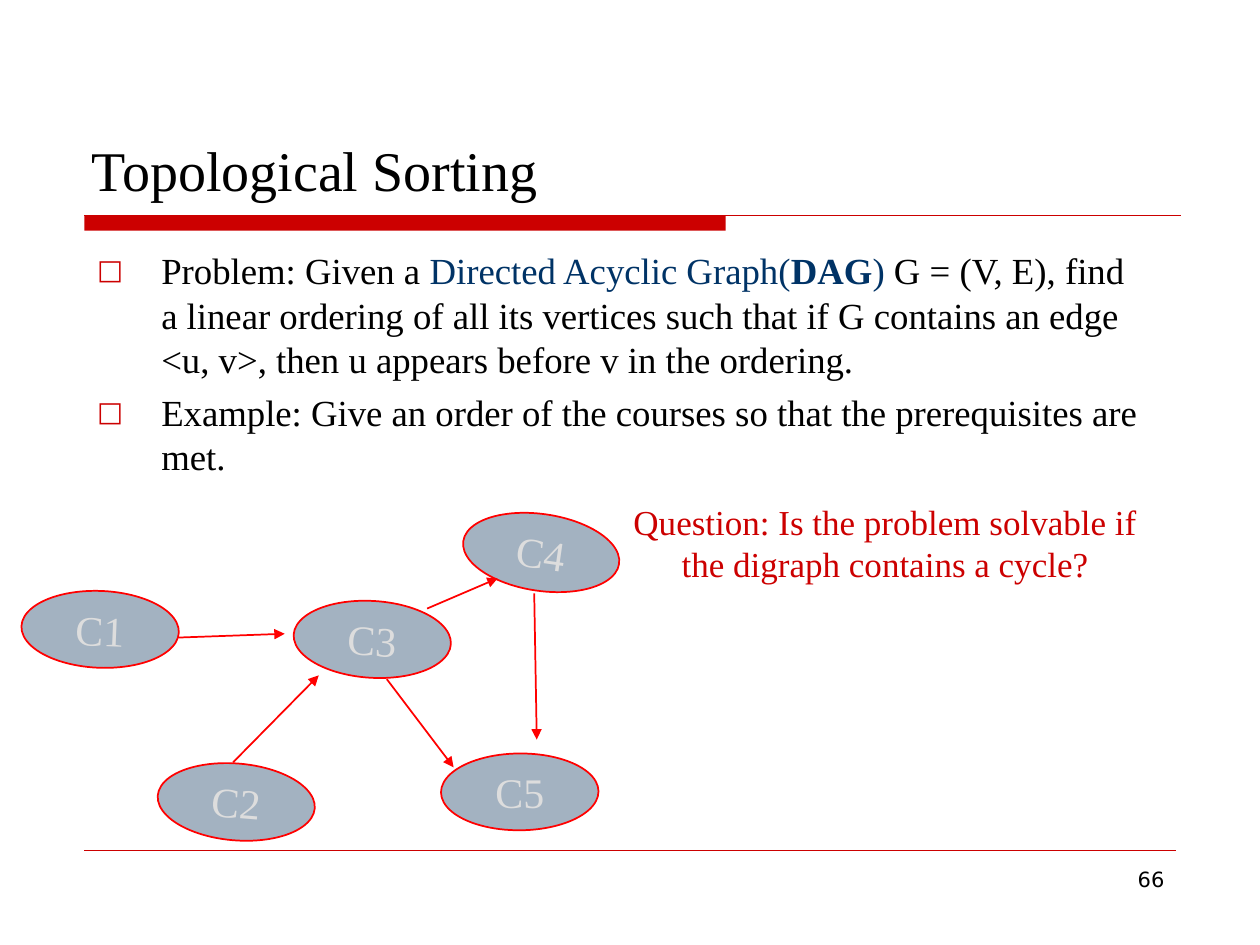
from lxml.etree import SubElement
from pptx import Presentation
from pptx.dml.color import RGBColor
from pptx.enum.shapes import MSO_CONNECTOR, MSO_SHAPE
from pptx.enum.text import MSO_ANCHOR, MSO_AUTO_SIZE, PP_ALIGN
from pptx.oxml.ns import qn
from pptx.util import Inches, Pt

BLACK = RGBColor(0x00, 0x00, 0x00)
RED = RGBColor(0xCC, 0x00, 0x00)
EDGE_RED = RGBColor(0xFF, 0x00, 0x00)
NAVY = RGBColor(0x00, 0x33, 0x66)
NODE_FILL = RGBColor(0xA3, 0xB2, 0xC1)
NODE_TEXT = RGBColor(0xDD, 0xDD, 0xDD)
SERIF, SANS = "Times New Roman", "DejaVu Sans"

NODE_SIZE = (1.25, 0.61)
# name, left, top, rotation
COURSES = [
    ("C1", 0.17, 4.69, 2.3),
    ("C3", 2.33, 4.77, 3.5),
    ("C2", 1.25, 6.06, 4.7),
    ("C5", 3.5, 5.98, -0.4),
    ("C4", 3.67, 4.08, 8.3),
]
# start and end of each prerequisite arrow
PREREQUISITES = [
    ((3.39, 4.83), (3.95, 4.59)),
    ((1.42, 5.06), (2.26, 5.03)),
    ((3.07, 5.39), (3.6, 6.09)),
    ((1.85, 6.05), (2.53, 5.36)),
    ((4.24, 4.71), (4.26, 5.87)),
]
POINTS = [
    [
        ("Problem: Given a ", {}),
        ("Directed Acyclic Graph(", {"color": NAVY}),
        ("DAG", {"color": NAVY, "bold": True}),
        (")", {"color": NAVY}),
        (" G = (V, E), find a linear ordering of all its vertices such that "
         "if G contains an edge <u, v>, then u appears before v in the ordering.", {}),
    ],
    [("Example: Give an order of the courses so that the prerequisites are met.", {})],
]


def place(shape, left, top, width, height):
    bounds = {"left": left, "top": top, "width": width, "height": height}
    for name, value in bounds.items():
        setattr(shape, name, Inches(value))


def add_span(para, text, size, color=BLACK, font=SERIF, bold=False):
    span = para.add_run()
    span.text = text
    for name, value in {"size": Pt(size), "name": font, "bold": bold}.items():
        setattr(span.font, name, value)
    span.font.color.rgb = color


def add_text(slide, bounds, text, align, **span_format):
    box = slide.shapes.add_textbox(*map(Inches, bounds))
    box.text_frame.word_wrap = True
    para = box.text_frame.paragraphs[0]
    para.alignment = align
    add_span(para, text, **span_format)


def add_line(slide, start, end, color, width, arrow=False):
    line = slide.shapes.add_connector(
        MSO_CONNECTOR.STRAIGHT, *map(Inches, (*start, *end)))
    line.line.color.rgb = color
    line.line.width = Pt(width)
    properties = line._element.spPr
    if arrow:
        SubElement(properties.find(qn("a:ln")), qn("a:tailEnd"), type="triangle")
    SubElement(properties, qn("a:effectLst"))


def add_shape(slide, kind, bounds, fill):
    shape = slide.shapes.add_shape(kind, *map(Inches, bounds))
    shape.shadow.inherit = False
    shape.fill.solid()
    shape.fill.fore_color.rgb = fill
    return shape


def add_course(slide, name, left, top, rotation):
    node = add_shape(slide, MSO_SHAPE.OVAL, (left, top, *NODE_SIZE), NODE_FILL)
    node.rotation = rotation
    node.line.color.rgb = EDGE_RED
    node.line.width = Pt(1)
    frame = node.text_frame
    frame.word_wrap = False
    frame.vertical_anchor = MSO_ANCHOR.MIDDLE
    para = frame.paragraphs[0]
    para.alignment = PP_ALIGN.CENTER
    add_span(para, name, 24, NODE_TEXT)


def set_bullet(para):
    """Give the paragraph a red square bullet with a hanging indent."""
    properties = para._p.get_or_add_pPr()
    properties.set("marL", str(Inches(0.51)))
    properties.set("indent", str(-Inches(0.51)))
    color = SubElement(properties, qn("a:buClr"))
    SubElement(color, qn("a:srgbClr"), val=str(RED))
    SubElement(properties, qn("a:buSzPct"), val="75000")
    SubElement(properties, qn("a:buFont"), typeface=SANS)
    SubElement(properties, qn("a:buChar"), char="□")


def fill_title(title):
    place(title, 0.63, 0.33, 8.75, 1.33)
    frame = title.text_frame
    frame.auto_size = MSO_AUTO_SIZE.NONE
    frame.vertical_anchor = MSO_ANCHOR.BOTTOM
    para = frame.paragraphs[0]
    para.alignment = PP_ALIGN.LEFT
    add_span(para, "Topological Sorting", 32)


def fill_body(body):
    place(body, 0.67, 1.92, 8.5, 4.5)
    frame = body.text_frame
    frame.auto_size = MSO_AUTO_SIZE.NONE
    for index, spans in enumerate(POINTS):
        para = frame.add_paragraph() if index else frame.paragraphs[0]
        para.space_before = Pt(5.2)
        set_bullet(para)
        for text, span_format in spans:
            add_span(para, text, 21, **span_format)


def add_rules(slide):
    bar = add_shape(slide, MSO_SHAPE.RECTANGLE, (0.67, 1.71, 5.09, 0.12), RED)
    bar.line.fill.background()
    add_line(slide, (0.67, 1.71), (9.37, 1.71), RED, 0.75)
    add_line(slide, (0.67, 6.75), (9.33, 6.75), RED, 0.25)


def main():
    deck = Presentation()
    deck.slide_width, deck.slide_height = Inches(10), Inches(7.5)
    slide = deck.slides.add_slide(deck.slide_layouts[1])
    add_rules(slide)
    add_text(slide, (7.17, 6.83, 2.17, 0.52), "66", PP_ALIGN.RIGHT,
             size=12, font=SANS)
    fill_title(slide.shapes.title)
    fill_body(slide.placeholders[1])
    for course in COURSES:
        add_course(slide, *course)
    for start, end in PREREQUISITES:
        add_line(slide, start, end, EDGE_RED, 1, arrow=True)
    add_text(slide, (4.83, 3.92, 4.39, 0.77),
             "Question: Is the problem solvable if the digraph contains a cycle?",
             PP_ALIGN.CENTER, size=20, color=RED)
    deck.save("out.pptx")


if __name__ == "__main__":
    main()
